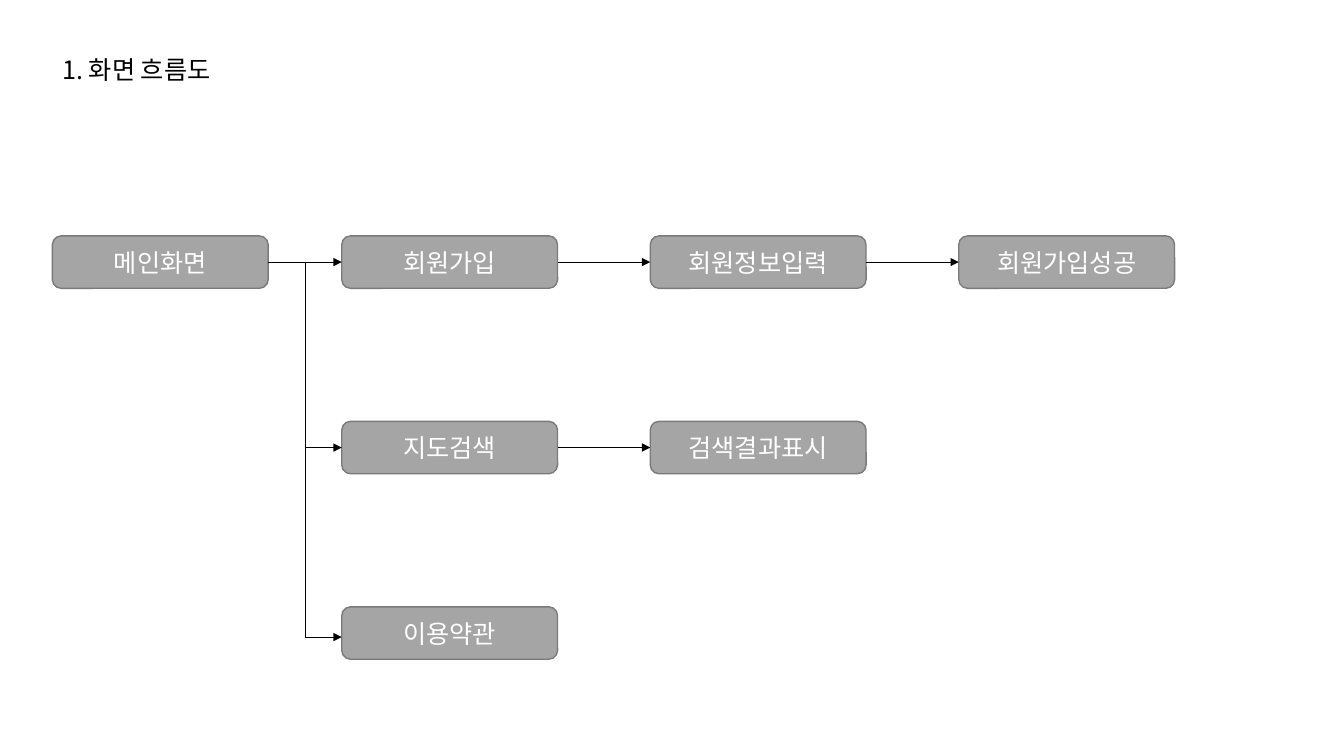
from lxml.etree import SubElement
from pptx import Presentation
from pptx.dml.color import RGBColor
from pptx.enum.shapes import MSO_CONNECTOR as Link, MSO_SHAPE as Shape
from pptx.enum.text import MSO_ANCHOR as Anchor, MSO_AUTO_SIZE as Fit, PP_ALIGN as Align
from pptx.oxml.ns import qn
from pptx.util import Inches, Pt

TITLE = "1. 화면 흐름도"
HOME = "메인화면"
FLOWS = [
    ["회원가입", "회원정보입력", "회원가입성공"],
    ["지도검색", "검색결과표시"],
    ["이용약관"],
]
FONT = "Noto Sans CJK KR"
GRAY, EDGE, BLACK, WHITE = "A5A5A5", "7A7A7A", "000000", "FFFFFF"

WIDE, HIGH = 13.33, 7.5
LEFT, TOP = 0.52, 2.34
BOX_W, BOX_H = 2.14, 0.52
FLOW_X, COL, ROW = 3.39, 3.06, 1.84
TRUNK = (LEFT + BOX_W + FLOW_X) / 2
DROP = 0.04  # the last branch enters just below its box's middle


def color(code):
    return RGBColor.from_string(code)


def write(shape, text, ink=BLACK, align=Align.LEFT, anchor=Anchor.TOP):
    frame = shape.text_frame
    frame.word_wrap = True
    frame.vertical_anchor = anchor
    para = frame.paragraphs[0]
    para.alignment = align
    run = para.add_run()
    run.text = text
    font = run.font
    font.size, font.name = Pt(18), FONT
    font.color.rgb = color(ink)
    SubElement(run._r.get_or_add_rPr(), qn("a:ea")).set("typeface", FONT)


def add_box(slide, text, x, y):
    box = slide.shapes.add_shape(Shape.ROUNDED_RECTANGLE, Inches(x), Inches(y),
                                 Inches(BOX_W), Inches(BOX_H))
    box.shadow.inherit = False
    box.fill.solid()
    box.fill.fore_color.rgb = color(GRAY)
    box.line.color.rgb = color(EDGE)
    box.line.width = Pt(1)
    write(box, text, ink=WHITE, align=Align.CENTER, anchor=Anchor.MIDDLE)
    return box


def add_line(slide, start, end, src=None, dst=None, arrow=True):
    """Draw a line, joining the right side of src to the left side of dst."""
    line = slide.shapes.add_connector(Link.STRAIGHT, *map(Inches, start + end))
    line.line.color.rgb = color(BLACK)
    line.line.width = Pt(0.5)
    if arrow:
        SubElement(line.line._get_or_add_ln(), qn("a:tailEnd")).set("type", "triangle")
    SubElement(line._element.spPr, qn("a:effectLst"))
    if src is not None:
        line.begin_connect(src, 3)
    if dst is not None:
        line.end_connect(dst, 1)


def main():
    deck = Presentation()
    deck.slide_width, deck.slide_height = Inches(WIDE), Inches(HIGH)
    slide = deck.slides.add_slide(deck.slide_layouts[6])

    title = slide.shapes.add_textbox(Inches(LEFT), Inches(0.49), Inches(1.9), Inches(0.4))
    write(title, TITLE)
    title.text_frame.auto_size = Fit.SHAPE_TO_FIT_TEXT

    home = add_box(slide, HOME, LEFT, TOP)
    last = len(FLOWS) - 1
    mid = TOP + BOX_H / 2
    for row, flow in enumerate(FLOWS):
        y = TOP + row * ROW
        boxes = [add_box(slide, text, FLOW_X + col * COL, y)
                 for col, text in enumerate(flow)]
        level = mid + row * ROW
        if row == 0:
            add_line(slide, (LEFT + BOX_W, level), (FLOW_X, level), home, boxes[0])
        elif row < last:
            add_line(slide, (TRUNK, level), (FLOW_X, level), dst=boxes[0])
        else:
            low = level + DROP
            add_line(slide, (TRUNK, low), (FLOW_X, low))
            add_line(slide, (TRUNK, mid), (TRUNK, low), arrow=False)
        for col, (src, dst) in enumerate(zip(boxes, boxes[1:])):
            x = FLOW_X + col * COL
            add_line(slide, (x + BOX_W, level), (x + COL, level), src, dst)

    deck.save("out.pptx")


if __name__ == "__main__":
    main()
